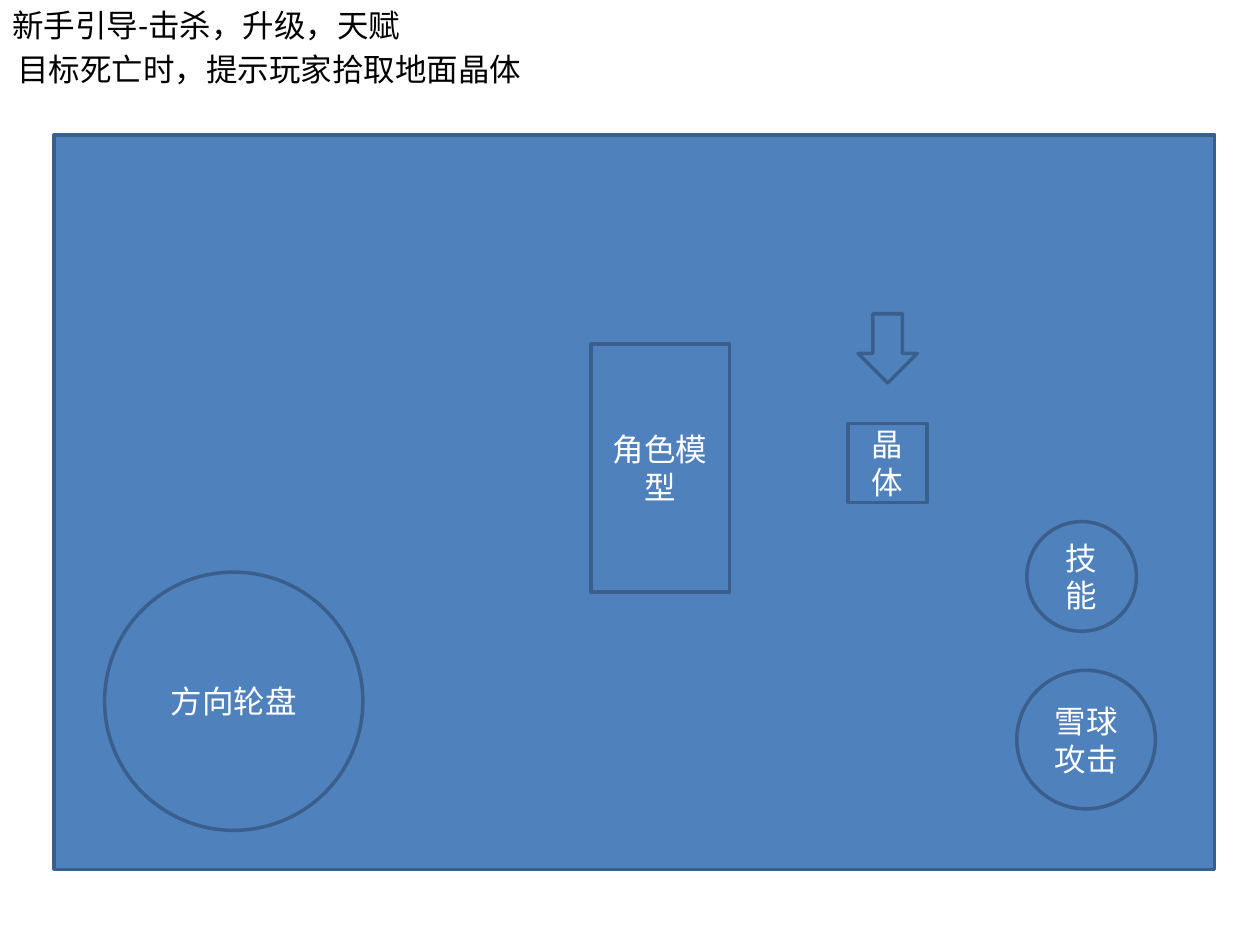
from pptx import Presentation
from pptx.dml.color import RGBColor
from pptx.enum import shapes, text
from pptx.util import Inches, Pt

BLUE = RGBColor(0x4F, 0x81, 0xBD)
EDGE = RGBColor(0x3A, 0x5F, 0x8C)
WHITE = RGBColor(0xFF, 0xFF, 0xFF)
BLACK = RGBColor(0x00, 0x00, 0x00)

RECT = shapes.MSO_SHAPE.RECTANGLE
CIRCLE = shapes.MSO_SHAPE.FLOWCHART_CONNECTOR
ARROW = shapes.MSO_SHAPE.DOWN_ARROW


def write(tf, wording, color=BLACK, size=18, font="Calibri", align=None):
    """Put one formatted run into a text frame."""
    tf.word_wrap = True
    p = tf.paragraphs[0]
    p.alignment = align
    r = p.add_run()
    r.text = wording
    r.font.size = Pt(size)
    r.font.name = font
    r.font.color.rgb = color


def add_element(s, kind, x, y, w, h, label=None):
    """Add a blue outlined shape with an optional centred label."""
    sp = s.shapes.add_shape(kind, Inches(x), Inches(y), Inches(w), Inches(h))
    sp.shadow.inherit = False
    sp.fill.solid()
    sp.fill.fore_color.rgb = BLUE
    sp.line.color.rgb = EDGE
    sp.line.width = Pt(2)
    if label:
        sp.text_frame.vertical_anchor = text.MSO_ANCHOR.MIDDLE
        write(sp.text_frame, label, color=WHITE, align=text.PP_ALIGN.CENTER)


def add_heading(s, x, y, w, wording):
    """Add a one-line text box."""
    sp = s.shapes.add_textbox(Inches(x), Inches(y), Inches(w), Inches(0.4))
    sp.text_frame.auto_size = text.MSO_AUTO_SIZE.SHAPE_TO_FIT_TEXT
    write(sp.text_frame, wording)


def main():
    """Build the tutorial screen layout and save it."""
    prs = Presentation()
    prs.slide_width, prs.slide_height = Inches(10), Inches(7.5)
    s = prs.slides.add_slide(prs.slide_layouts[6])

    add_element(s, RECT, 0.43, 1.07, 9.21, 5.83)
    add_element(s, CIRCLE, 0.83, 4.54, 2.05, 2.05, "方向轮盘")
    add_element(s, CIRCLE, 8.07, 5.32, 1.1, 1.1, "雪球攻击")
    add_heading(s, 0, 0, 3.62, "新手引导-击杀，升级，天赋")
    add_element(s, CIRCLE, 8.15, 4.14, 0.87, 0.87, "技能")
    add_heading(s, 0.04, 0.35, 9.96, "目标死亡时，提示玩家拾取地面晶体")
    add_element(s, RECT, 4.69, 2.73, 1.1, 1.97, "角色模型")
    add_element(s, ARROW, 6.81, 2.49, 0.47, 0.55)
    add_element(s, RECT, 6.73, 3.36, 0.63, 0.63, "晶体")

    prs.save("out.pptx")


if __name__ == "__main__":
    main()
